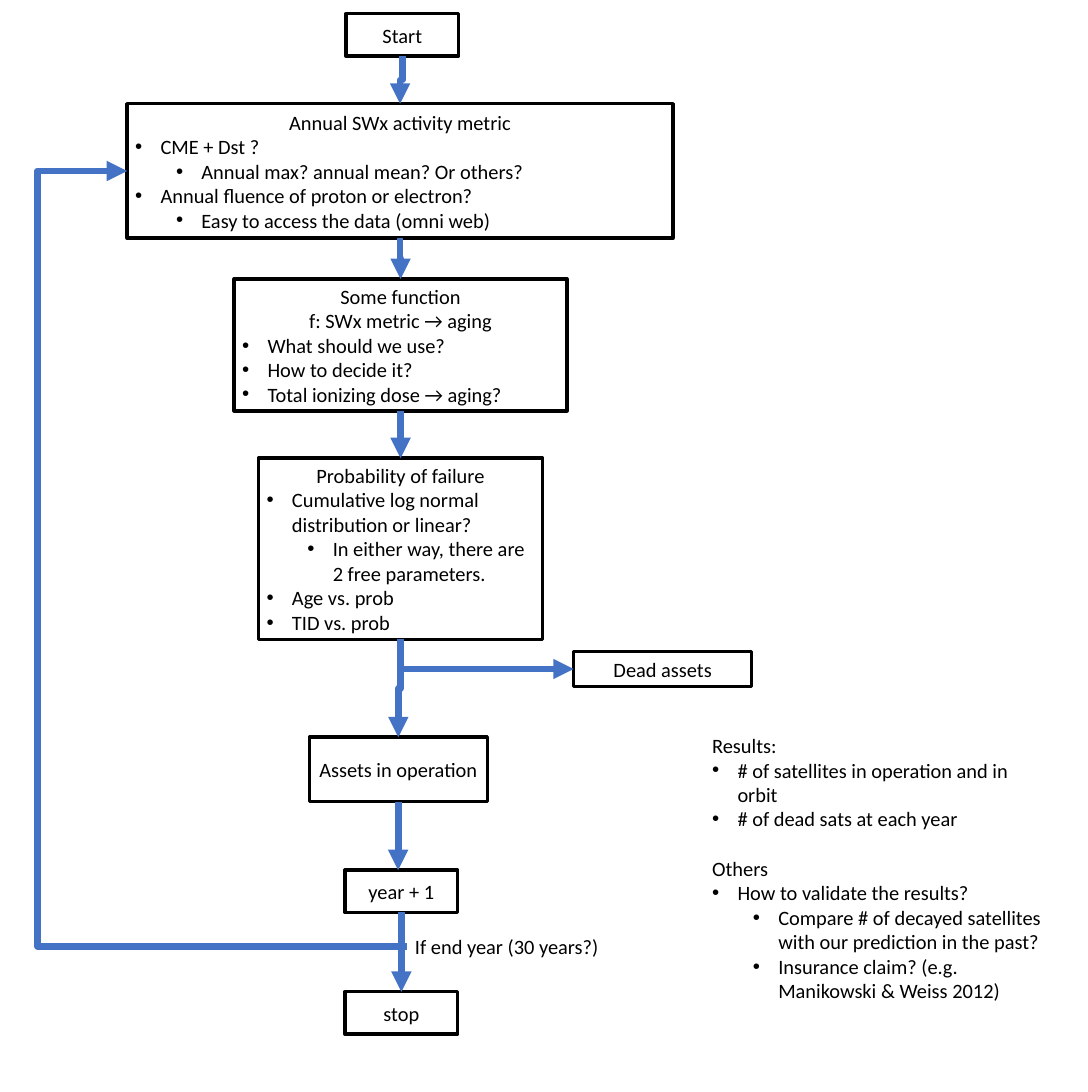
from pptx import Presentation
from pptx.dml.color import RGBColor
from pptx.enum import shapes, text
from pptx.oxml import ns
from pptx.util import Cm, Pt
from lxml import etree

COLORS = {"paper": "FFFFFF", "ink": "000000", "arrow": "4472C4"}
FONT = "Calibri"
HANGING = 0.79
BULLET_INDENTS = {"bullet": 0.79, "sub-bullet": 2.06}

# Each box: left, top, width, height in cm, then (style, text) lines.
BOXES = {
    "start": ((10.77, 0.43, 3.51, 1.32), [("centre", "Start")]),
    "metric": ((3.96, 3.23, 16.99, 4.19), [
        ("centre", "Annual SWx activity metric"),
        ("bullet", "CME + Dst ?"),
        ("sub-bullet", "Annual max? annual mean? Or others?"),
        ("bullet", "Annual fluence of proton or electron?"),
        ("sub-bullet", "Easy to access the data (omni web)")]),
    "function": ((7.29, 8.69, 10.36, 4.11), [
        ("centre", "Some function"),
        ("centre", "f: SWx metric → aging"),
        ("bullet", "What should we use?"),
        ("bullet", "How to decide it?"),
        ("bullet", "Total ionizing dose → aging?")]),
    "failure": ((8.05, 14.27, 8.84, 5.64), [
        ("centre", "Probability of failure"),
        ("bullet", "Cumulative log normal distribution or linear?"),
        ("sub-bullet", "In either way, there are 2 free parameters."),
        ("bullet", "Age vs. prob"),
        ("bullet", "TID vs. prob")]),
    "dead": ((17.86, 20.29, 5.54, 1.09), [("centre", "Dead assets")]),
    "operation": ((9.63, 22.96, 5.54, 2.01), [("centre", "Assets in operation")]),
    "year": ((10.74, 27.1, 3.51, 1.32), [("centre", "year + 1")]),
    "stop": ((10.74, 30.89, 3.51, 1.32), [("centre", "stop")]),
}
MAIN_PATH = ["start", "metric", "function", "failure", "operation", "year", "stop"]
END_SHIFT = {"year": -0.1}  # arrow tip, relative to the middle of the box

END_CHECK = ((12.67, 28.96, 6.3, 1.02), [("left", "If end year (30 years?)")])
NOTES = ((21.92, 22.71, 10.85, 9.5), [
    ("left", "Results:"),
    ("bullet", "# of satellites in operation and in orbit"),
    ("bullet", "# of dead sats at each year"),
    ("left", "Others"),
    ("bullet", "How to validate the results?"),
    ("sub-bullet", "Compare # of decayed satellites with our prediction in the past?"),
    ("sub-bullet", "Insurance claim? (e.g. Manikowski & Weiss 2012)")])


def color(name):
    return RGBColor.from_string(COLORS[name])


def add_bullet(paragraph, style):
    properties = paragraph._p.get_or_add_pPr()
    properties.set("marL", str(Cm(BULLET_INDENTS[style])))
    properties.set("indent", str(-Cm(HANGING)))
    etree.SubElement(properties, ns.qn("a:buFont")).set("typeface", "Arial")
    etree.SubElement(properties, ns.qn("a:buChar")).set("char", "•")
    paragraph.level = 1 if style == "sub-bullet" else 0


def write_lines(frame, lines):
    frame.text = "\n".join(line for _, line in lines)
    for index, (paragraph, (style, _)) in enumerate(zip(frame.paragraphs, lines)):
        centred = style == "centre"
        paragraph.alignment = text.PP_ALIGN.CENTER if centred else text.PP_ALIGN.LEFT
        if style in BULLET_INDENTS:
            add_bullet(paragraph, style)
        elif style == "left" and index:
            paragraph.space_before = Pt(22)
        for run in paragraph.runs:
            run.font.name = FONT
            run.font.size = Pt(18)
            run.font.color.rgb = color("ink")


def add_step(slide, box, lines):
    shape = slide.shapes.add_shape(shapes.MSO_SHAPE.RECTANGLE, *map(Cm, box))
    shape.shadow.inherit = False
    shape.fill.solid()
    shape.fill.fore_color.rgb = color("paper")
    shape.line.color.rgb = color("ink")
    shape.line.width = Pt(3)
    shape.text_frame.vertical_anchor = text.MSO_ANCHOR.MIDDLE
    write_lines(shape.text_frame, lines)


def add_text(slide, box, lines, wrap=True):
    frame = slide.shapes.add_textbox(*map(Cm, box)).text_frame
    frame.word_wrap = wrap
    frame.auto_size = text.MSO_AUTO_SIZE.SHAPE_TO_FIT_TEXT
    write_lines(frame, lines)


def top(box):
    return box[0] + box[2] / 2, box[1]


def bottom(box):
    return box[0] + box[2] / 2, box[1] + box[3]


def left(box):
    return box[0], box[1] + box[3] / 2


def add_elbow(slide, start, end):
    """Elbow arrow that leaves and arrives horizontally."""
    connector = slide.shapes.add_connector(
        shapes.MSO_CONNECTOR.ELBOW, *map(Cm, start + end))
    connector.line.color.rgb = color("arrow")
    connector.line.width = Pt(6)
    line = connector.line._get_or_add_ln()
    etree.SubElement(line, ns.qn("a:tailEnd")).set("type", "triangle")
    etree.SubElement(connector._element.spPr, ns.qn("a:effectLst"))
    return connector


def add_down_elbow(slide, start, end, preset="bentConnector3"):
    """Elbow arrow that leaves downwards: a horizontal one turned by 90 degrees."""
    (x1, y1), (x2, y2) = start, end
    middle_x, middle_y = (x1 + x2) / 2, (y1 + y2) / 2
    half_run, half_drop = (x2 - x1) / 2, (y2 - y1) / 2
    connector = add_elbow(slide, (middle_x - half_drop, middle_y + half_run),
                          (middle_x + half_drop, middle_y - half_run))
    properties = connector._element.spPr
    properties.find(ns.qn("a:xfrm")).set("rot", str(90 * 60000))
    properties.find(ns.qn("a:prstGeom")).set("prst", preset)


def add_loop(slide, start, end, bend):
    """Return arrow whose vertical part lies at the share bend of its width."""
    connector = add_elbow(slide, start, end)
    geometry = connector._element.spPr.find(ns.qn("a:prstGeom"))
    guide = etree.SubElement(geometry.find(ns.qn("a:avLst")), ns.qn("a:gd"))
    guide.set("name", "adj1")
    guide.set("fmla", f"val {round(bend * 100000)}")


def add_flowchart(slide):
    for box, lines in BOXES.values():
        add_step(slide, box, lines)
    add_text(slide, *END_CHECK, wrap=False)
    places = {name: box for name, (box, _) in BOXES.items()}
    for name, following in zip(MAIN_PATH, MAIN_PATH[1:]):
        x, y = top(places[following])
        tip = (x + END_SHIFT.get(following, 0), y)
        add_down_elbow(slide, bottom(places[name]), tip)
    add_down_elbow(slide, bottom(places["failure"]), left(places["dead"]),
                   "bentConnector2")
    add_loop(slide, left(END_CHECK[0]), left(places["metric"]), 1.32)


def main():
    presentation = Presentation()
    presentation.slide_width = Cm(33.87)
    presentation.slide_height = Cm(34.01)
    slide = presentation.slides.add_slide(presentation.slide_layouts[6])
    add_flowchart(slide)
    add_text(slide, *NOTES)
    presentation.save("out.pptx")


if __name__ == "__main__":
    main()
